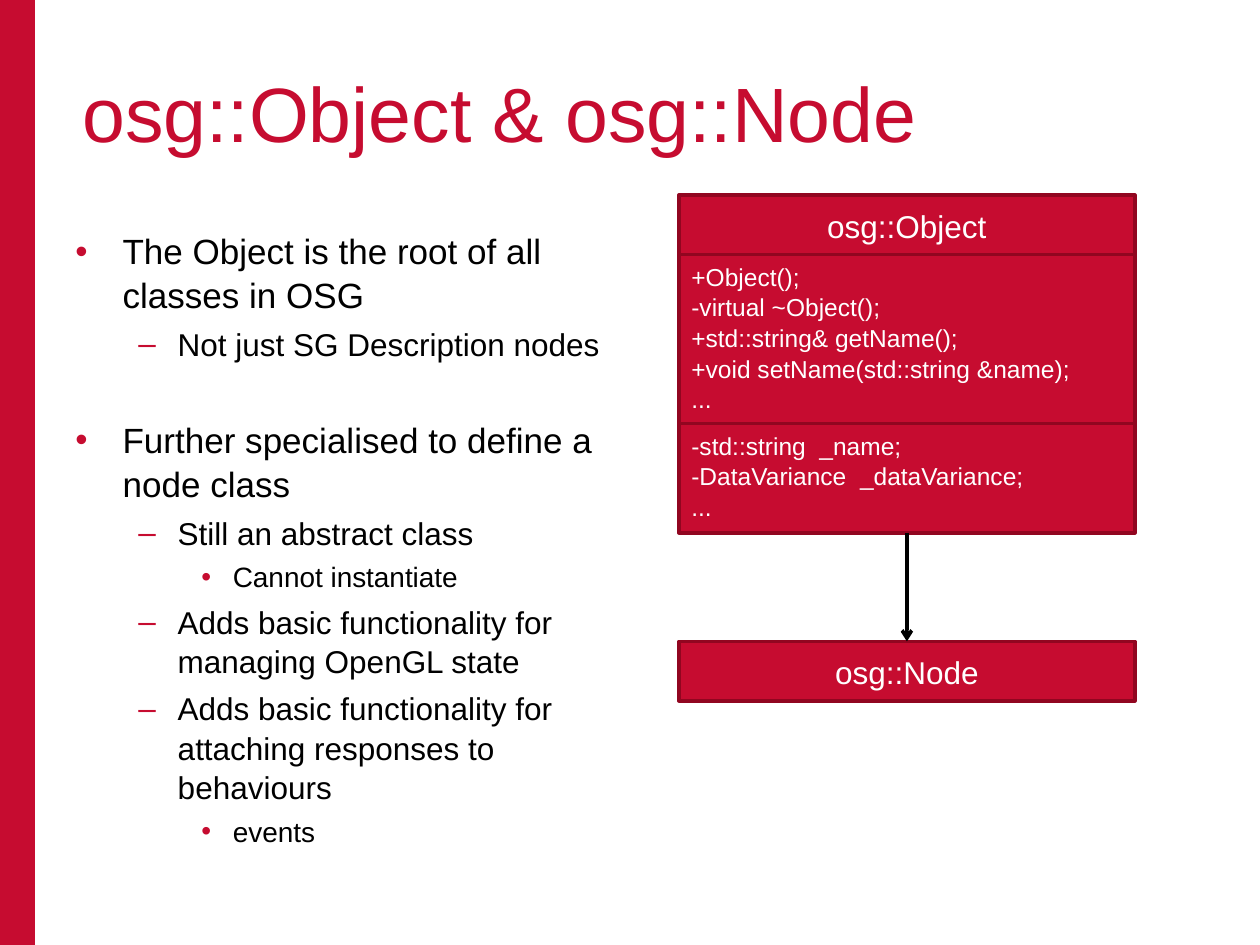
import pptx
import pptx.util
import pptx.dml.color
import pptx.enum.dml
import pptx.enum.shapes
import pptx.enum.text
import pptx.oxml
import pptx.oxml.ns
from dataclasses import dataclass

Pt = pptx.util.Pt
Align = pptx.enum.text.PP_ALIGN
Anchor = pptx.enum.text.MSO_ANCHOR


@dataclass(frozen=True)
class Theme:
    font: str = "Arial"
    red: str = "C60C30"
    dark_red: str = "910620"
    black: str = "000000"
    white: str = "FFFFFF"
    title: int = 44
    heading: int = 18
    code: int = 14
    line_spacing: float = 1.04
    line_width: int = 2
    # level: (size, left indent, hanging indent, space before, bullet)
    levels: tuple = (
        (20, 27, 27, 5, "•"),
        (18, 58.5, 22.5, 4.5, "–"),
        (16, 90, 18, 4, "•"),
    )


def rgb(value):
    return pptx.dml.color.RGBColor.from_string(value)


def sub(parent, tag, **attrs):
    el = pptx.oxml.parse_xml(f"<{tag} {pptx.oxml.ns.nsdecls('a')}/>")
    for name, value in attrs.items():
        el.set(name, str(value))
    parent.append(el)
    return el


def write(p, text, *, font, size, color, align=Align.LEFT, before=0, spacing=None):
    p.alignment = align
    p.space_before = Pt(before)
    if spacing:
        p.line_spacing = spacing
    r = p.add_run()
    r.text = text
    r.font.name = font
    r.font.size = Pt(size)
    r.font.color.rgb = rgb(color)


class Deck:
    """Draws styled elements on the current slide."""

    def __init__(self, prs, theme):
        self.theme = theme
        self.s = prs.slides.add_slide(prs.slide_layouts[6])

    def paragraphs(self, tf, lines, **fmt):
        for i, line in enumerate(lines):
            p = tf.paragraphs[0] if i == 0 else tf.add_paragraph()
            write(p, line, font=self.theme.font, **fmt)

    def frame(self, x, y, w, h, inset):
        tf = self.s.shapes.add_textbox(Pt(x), Pt(y), Pt(w), Pt(h)).text_frame
        tf.word_wrap = True
        tf.margin_top = Pt(inset)
        return tf

    def title(self, text, x, y, w, h):
        tf = self.frame(x, y, w, h, 8.5)
        self.paragraphs(tf, [text], size=self.theme.title, color=self.theme.red)

    def bullets(self, items, x, y, w, h):
        t = self.theme
        tf = self.frame(x, y, w, h, 4.5)
        for i, (level, text, gap) in enumerate(items):
            size, left, hang, before, char = t.levels[level]
            p = tf.paragraphs[0] if i == 0 else tf.add_paragraph()
            p.level = level
            write(p, text, font=t.font, size=size, color=t.black,
                  before=before + gap if i else 0, spacing=t.line_spacing)
            pPr = p._p.get_or_add_pPr()
            pPr.set("marL", str(Pt(left)))
            pPr.set("indent", str(-Pt(hang)))
            sub(sub(pPr, "a:buClr"), "a:srgbClr", val=t.red)
            sub(pPr, "a:buFont", typeface=t.font)
            sub(pPr, "a:buChar", char=char)

    def rect(self, x, y, w, h, line=None):
        sp = self.s.shapes.add_shape(
            pptx.enum.shapes.MSO_SHAPE.RECTANGLE, Pt(x), Pt(y), Pt(w), Pt(h))
        sp.shadow.inherit = False
        sp.fill.solid()
        sp.fill.fore_color.rgb = rgb(self.theme.red)
        if line:
            sp.line.color.rgb = rgb(line)
            sp.line.width = Pt(self.theme.line_width)
        else:
            sp.line.fill.background()
        return sp

    def class_box(self, lines, x, y, w, h, heading=False):
        t = self.theme
        sp = self.rect(x, y, w, h, t.dark_red)
        tf = sp.text_frame
        tf.word_wrap = True
        tf.vertical_anchor = Anchor.MIDDLE if heading else Anchor.TOP
        self.paragraphs(tf, lines, size=t.heading if heading else t.code,
                        color=t.white, spacing=t.line_spacing,
                        align=Align.CENTER if heading else Align.JUSTIFY)
        return sp

    def arrow(self, upper, lower):
        c = self.s.shapes.add_connector(
            pptx.enum.shapes.MSO_CONNECTOR.STRAIGHT, 0, 0, 0, 0)
        c.begin_connect(upper, 2)
        c.end_connect(lower, 0)
        c.line.color.rgb = rgb(self.theme.black)
        c.line.width = Pt(self.theme.line_width)
        sub(c.line._get_or_add_ln(), "a:tailEnd", type="arrow")
        sub(c._element.spPr, "a:effectLst")


def main():
    prs = pptx.Presentation()
    prs.slide_width, prs.slide_height = Pt(720), Pt(540)
    deck = Deck(prs, Theme())

    deck.rect(0, 0, 20, 540)
    deck.title("osg::Object & osg::Node", 40, 29, 644, 116)
    deck.bullets([
        (0, "The Object is the root of all classes in OSG", 0),
        (1, "Not just SG Description nodes", 0),
        (0, "Further specialised to define a node class", 26),
        (1, "Still an abstract class", 0),
        (2, "Cannot instantiate", 0),
        (1, "Adds basic functionality for managing OpenGL state", 0),
        (1, "Adds basic functionality for attaching responses to behaviours", 0),
        (2, "events", 0),
    ], 36, 126, 324, 371)

    x, y, w, heading_h = 388, 111.5, 260.5, 34
    methods = ["+Object();", "-virtual ~Object();", "+std::string& getName();",
               "+void setName(std::string &name);", "..."]
    fields = ["-std::string  _name;", "-DataVariance  _dataVariance;", "..."]
    compartments = [(["osg::Object"], heading_h, True),
                    (methods, 96.5, False), (fields, 62.5, False)]
    for lines, h, heading in compartments:
        bottom_box = deck.class_box(lines, x, y, w, h, heading)
        y += h
    node = deck.class_box(["osg::Node"], x, 366.5, w, heading_h, True)
    deck.arrow(bottom_box, node)

    prs.save("out.pptx")


if __name__ == "__main__":
    main()
